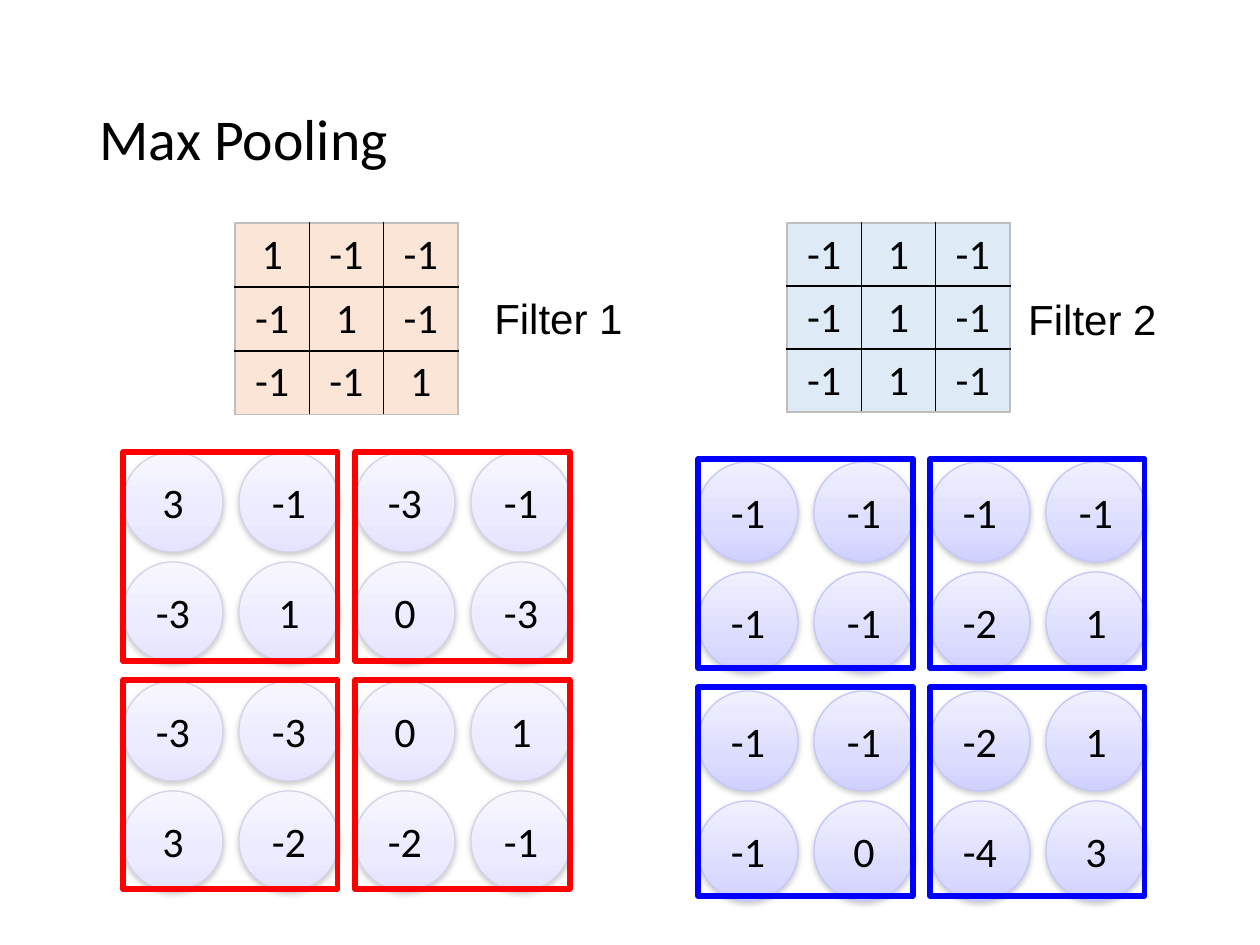
from copy import deepcopy

from lxml import etree
from pptx import Presentation
from pptx.dml.color import RGBColor
from pptx.enum.shapes import MSO_SHAPE
from pptx.enum.text import MSO_ANCHOR, MSO_AUTO_SIZE, PP_ALIGN
from pptx.oxml import parse_xml
from pptx.oxml.ns import nsdecls, qn
from pptx.util import Emu, Pt

OVAL, RECT = MSO_SHAPE.OVAL, MSO_SHAPE.RECTANGLE
LEFT, CENTER = PP_ALIGN.LEFT, PP_ALIGN.CENTER
MIDDLE = MSO_ANCHOR.MIDDLE
PX = 914400 // 126


def color(hex_string):
    return RGBColor.from_string(hex_string)


def write(frame, text, size, font, align):
    frame.text = text
    paragraph = frame.paragraphs[0]
    paragraph.alignment = align
    paragraph.font.size = Pt(size)
    paragraph.font.name = font
    paragraph.font.color.rgb = color("000000")


prs = Presentation()
prs.slide_width, prs.slide_height = Emu(1260 * PX), Emu(945 * PX)
slide = prs.slides.add_slide(prs.slide_layouts[5])
shapes = slide.shapes

# Title
title = shapes.title
title.left, title.top, title.width, title.height = [Emu(n * PX) for n in (87, 50, 1086, 183)]
write(title.text_frame, "Max Pooling", 33, "Calibri", LEFT)
title.text_frame.vertical_anchor = MIDDLE
title.text_frame.paragraphs[0].line_spacing = 0.9

# Each filter: its kernel, and the feature map it gives
filters = [
    dict(label="Filter 1", label_at=(459, 286), kernel_left=235, kernel_fill="FBE5D6",
         kernel=[[1, -1, -1], [-1, 1, -1], [-1, -1, 1]],
         map_at=(123, 452), gradient=["F7F6FF", "ECEBFF", "E5E3FF"], outline="D4D3E7",
         values=[[3, -1, -3, -1], [-3, 1, 0, -3], [-3, -3, 0, 1], [3, -2, -2, -1]],
         pool_top=452, pool_color="FF0000"),
    dict(label="Filter 2", label_at=(993, 287), kernel_left=787, kernel_fill="DEEBF7",
         kernel=[[-1, 1, -1], [-1, 1, -1], [-1, 1, -1]],
         map_at=(698, 462), gradient=["F0F0FF", "DDDDFF", "D0D0FF"], outline="C6C6FB",
         values=[[-1, -1, -1, -1], [-1, -1, -2, 1], [-1, -1, -2, 1], [-1, 0, -4, 3]],
         pool_top=459, pool_color="0000FF"),
]

for conv in filters:
    # Feature map: rows come in pairs, with a wider step between the pairs
    map_left, map_top = conv["map_at"]
    for row, values in enumerate(conv["values"]):
        top = map_top + row // 2 * 229 + row % 2 * 110
        for col, value in enumerate(values):
            neuron = shapes.add_shape(OVAL, (map_left + col * 116) * PX, top * PX, 100 * PX, 100 * PX)
            neuron.line.color.rgb = color(conv["outline"])
            neuron.line.width = Pt(0.75)
            write(neuron.text_frame, str(value), 24, "Calibri", CENTER)
            neuron.text_frame.vertical_anchor = MIDDLE

            # Three-stop gradient, running downwards
            neuron.fill.gradient()
            neuron.fill.gradient_angle = 270
            stop_list = neuron.element.spPr.find(qn("a:gradFill")).find(qn("a:gsLst"))
            stop_list.append(deepcopy(stop_list[-1]))
            stops = zip(neuron.fill.gradient_stops, (0, 0.65, 1), conv["gradient"])
            for stop, position, shade in stops:
                stop.position = position
                stop.color.rgb = color(shade)

            # Soft shadow below
            neuron.shadow.inherit = False
            neuron.element.spPr.find(qn("a:effectLst")).append(parse_xml(
                f'<a:outerShdw {nsdecls("a")} blurRad="40000" dist="20000" dir="5400000" '
                'rotWithShape="0"><a:srgbClr val="808080"><a:alpha val="38000"/>'
                '</a:srgbClr></a:outerShdw>'))

    # Kernel table: black inner lines, grey outer edge
    kernel = shapes.add_table(3, 3, conv["kernel_left"] * PX, 223 * PX, 223 * PX, 189 * PX).table
    for row, weights in enumerate(conv["kernel"]):
        kernel.rows[row].height = Emu(63 * PX)
        for col, weight in enumerate(weights):
            cell = kernel.cell(row, col)
            write(cell.text_frame, str(weight), 24, "Calibri", CENTER)
            cell.text_frame.paragraphs[0].font.bold = False
            edges = {"lnL": col == 0, "lnR": col == 2, "lnT": row == 0, "lnB": row == 2}
            for side, is_outer in edges.items():
                border = etree.SubElement(cell._tc.get_or_add_tcPr(), qn(f"a:{side}"), w="12700")
                solid = etree.SubElement(border, qn("a:solidFill"))
                etree.SubElement(solid, qn("a:srgbClr"), val="BFBFBF" if is_outer else "000000")
            cell.fill.solid()
            cell.fill.fore_color.rgb = color(conv["kernel_fill"])

    # Filter label
    label_left, label_top = conv["label_at"]
    label = shapes.add_textbox(label_left * PX, label_top * PX, 199 * PX, 64 * PX)
    label.text_frame.word_wrap = True
    label.text_frame.auto_size = MSO_AUTO_SIZE.SHAPE_TO_FIT_TEXT
    write(label.text_frame, conv["label"], 24, "Arial", CENTER)

# Pooling windows, in front of everything
for conv in filters:
    for row in range(2):
        for col in range(2):
            window = shapes.add_shape(RECT, (conv["map_at"][0] + col * 232) * PX,
                                      (conv["pool_top"] + row * 228) * PX, 215 * PX, 209 * PX)
            window.fill.background()
            window.line.color.rgb = color(conv["pool_color"])
            window.line.width = Pt(3)
            window.shadow.inherit = False

prs.save("out.pptx")
